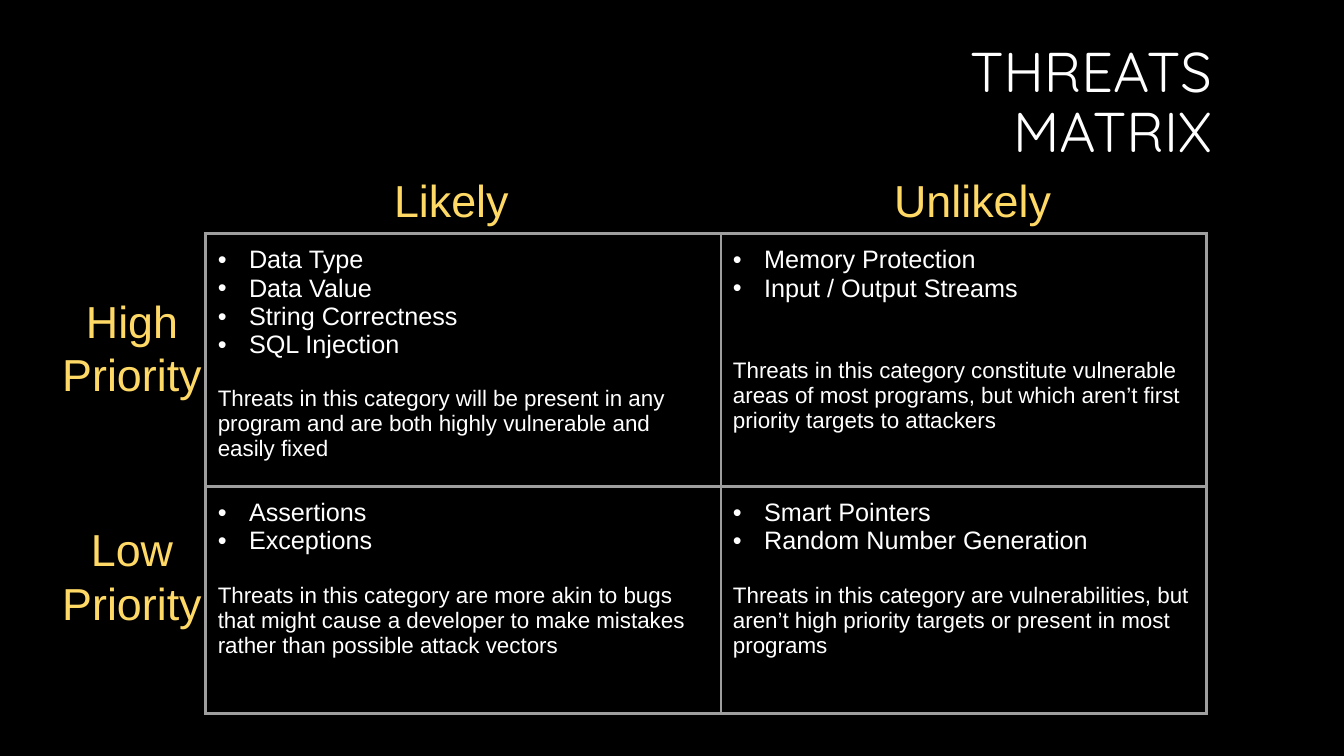
from dataclasses import dataclass

from lxml import etree
from pptx import Presentation
from pptx.dml.color import RGBColor
from pptx.enum.text import MSO_ANCHOR, MSO_AUTO_SIZE, PP_ALIGN
from pptx.oxml.ns import qn
from pptx.util import Inches, Pt

CENTER = PP_ALIGN.CENTER
LEFT = PP_ALIGN.LEFT
RIGHT = PP_ALIGN.RIGHT
MIDDLE = MSO_ANCHOR.MIDDLE
NO_AUTOFIT = MSO_AUTO_SIZE.NONE
GROW = MSO_AUTO_SIZE.SHAPE_TO_FIT_TEXT

BLACK = RGBColor(0x00, 0x00, 0x00)
WHITE = RGBColor(0xFF, 0xFF, 0xFF)
YELLOW = RGBColor(0xFF, 0xD9, 0x66)
GRAY = RGBColor(0x9E, 0x9E, 0x9E)

COLUMN_WIDTHS = (5.11, 4.82)
ROW_HEIGHTS = (2.51, 2.25)
CELL_MARGIN = Inches(0.12)
BULLET_INDENT = Inches(0.31)
BORDER_WIDTH = Pt(2.25)


@dataclass(frozen=True)
class Label:
    text: str
    left: float
    top: float
    width: float
    height: float
    align: PP_ALIGN


@dataclass(frozen=True)
class Quadrant:
    threats: tuple[str, ...]
    note: str
    note_gap: int = 20


LABELS = (
    Label("Likely", 3.81, 1.66, 1.35, 0.64, LEFT),
    Label("Unlikely", 8.77, 1.66, 1.77, 0.64, LEFT),
    Label("High\nPriority", 0.51, 2.86, 1.6, 1.18, CENTER),
    Label("Low\nPriority", 0.51, 5.13, 1.6, 1.18, CENTER),
)

MATRIX = (
    (
        Quadrant(
            ("Data Type", "Data Value", "String Correctness", "SQL Injection"),
            "Threats in this category will be present in any program "
            "and are both highly vulnerable and easily fixed",
        ),
        Quadrant(
            ("Memory Protection", "Input / Output Streams"),
            "Threats in this category constitute vulnerable areas of most programs, "
            "but which aren’t first priority targets to attackers",
            note_gap=40,
        ),
    ),
    (
        Quadrant(
            ("Assertions", "Exceptions"),
            "Threats in this category are more akin to bugs that might cause "
            "a developer to make mistakes rather than possible attack vectors",
        ),
        Quadrant(
            ("Smart Pointers", "Random Number Generation"),
            "Threats in this category are vulnerabilities, "
            "but aren’t high priority targets or present in most programs",
        ),
    ),
)


def set_font(para, size: int, color: RGBColor, name: str = "Arial") -> None:
    para.font.size = Pt(size)
    para.font.name = name
    para.font.color.rgb = color


def add_bullet(para) -> None:
    properties = para._p.get_or_add_pPr()
    properties.set("marL", str(BULLET_INDENT))
    properties.set("indent", str(-BULLET_INDENT))
    bullet_color = etree.SubElement(properties, qn("a:buClr"))
    etree.SubElement(bullet_color, qn("a:srgbClr"), val=str(WHITE))
    etree.SubElement(properties, qn("a:buFont"), typeface="Arial")
    etree.SubElement(properties, qn("a:buChar"), char="•")


def add_borders(cell) -> None:
    properties = cell._tc.get_or_add_tcPr()
    for side in ("L", "R", "T", "B"):
        line = etree.SubElement(properties, qn(f"a:ln{side}"), w=str(BORDER_WIDTH))
        fill = etree.SubElement(line, qn("a:solidFill"))
        etree.SubElement(fill, qn("a:srgbClr"), val=str(GRAY))


def fill_cell(cell, quadrant: Quadrant) -> None:
    cell.margin_left = cell.margin_right = CELL_MARGIN
    cell.margin_top = cell.margin_bottom = CELL_MARGIN
    add_borders(cell)
    cell.fill.background()
    frame = cell.text_frame
    frame.text = "\n".join((*quadrant.threats, quadrant.note))
    *threats, note = frame.paragraphs
    for para in threats:
        add_bullet(para)
        set_font(para, 18, WHITE)
    note.space_before = Pt(quadrant.note_gap)
    set_font(note, 16, WHITE)


def add_matrix(page) -> None:
    frame = page.shapes.add_table(
        len(ROW_HEIGHTS), len(COLUMN_WIDTHS), Inches(2.04), Inches(2.32),
        Inches(sum(COLUMN_WIDTHS)), Inches(sum(ROW_HEIGHTS)),
    )
    table = frame.table
    table.first_row = False
    table.horz_banding = False
    for column, width in zip(table.columns, COLUMN_WIDTHS):
        column.width = Inches(width)
    for row, height, quadrants in zip(table.rows, ROW_HEIGHTS, MATRIX):
        row.height = Inches(height)
        for cell, quadrant in zip(row.cells, quadrants):
            fill_cell(cell, quadrant)


def add_label(page, label: Label) -> None:
    box = page.shapes.add_textbox(
        Inches(label.left), Inches(label.top), Inches(label.width), Inches(label.height)
    )
    frame = box.text_frame
    frame.word_wrap = False
    frame.auto_size = GROW
    frame.text = label.text
    for para in frame.paragraphs:
        para.alignment = label.align
        set_font(para, 32, YELLOW)


def format_title(page) -> None:
    title = page.shapes.title
    title.left, title.top = Inches(7.51), Inches(0.54)
    title.width, title.height = Inches(4.61), Inches(0.99)
    frame = title.text_frame
    frame.text = "THREATS MATRIX"
    frame.word_wrap = True
    frame.auto_size = NO_AUTOFIT
    frame.vertical_anchor = MIDDLE
    para = frame.paragraphs[0]
    para.alignment = RIGHT
    para.line_spacing = 0.9
    set_font(para, 40, WHITE, "Quicksand")


def main() -> None:
    deck = Presentation()
    deck.slide_width, deck.slide_height = Inches(13.33), Inches(7.5)
    page = deck.slides.add_slide(deck.slide_layouts.get_by_name("Title Only"))
    page.background.fill.solid()
    page.background.fill.fore_color.rgb = BLACK
    format_title(page)
    add_matrix(page)
    for label in LABELS:
        add_label(page, label)
    deck.save("out.pptx")


if __name__ == "__main__":
    main()
